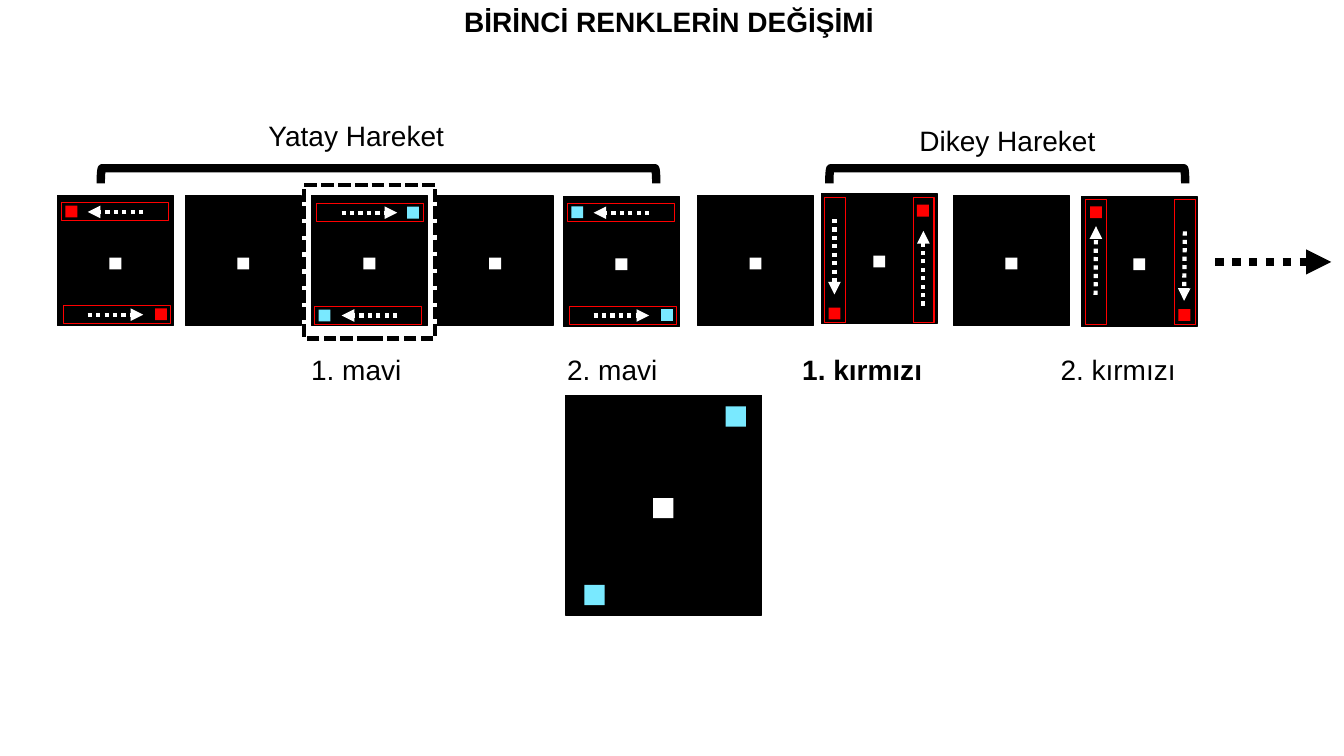
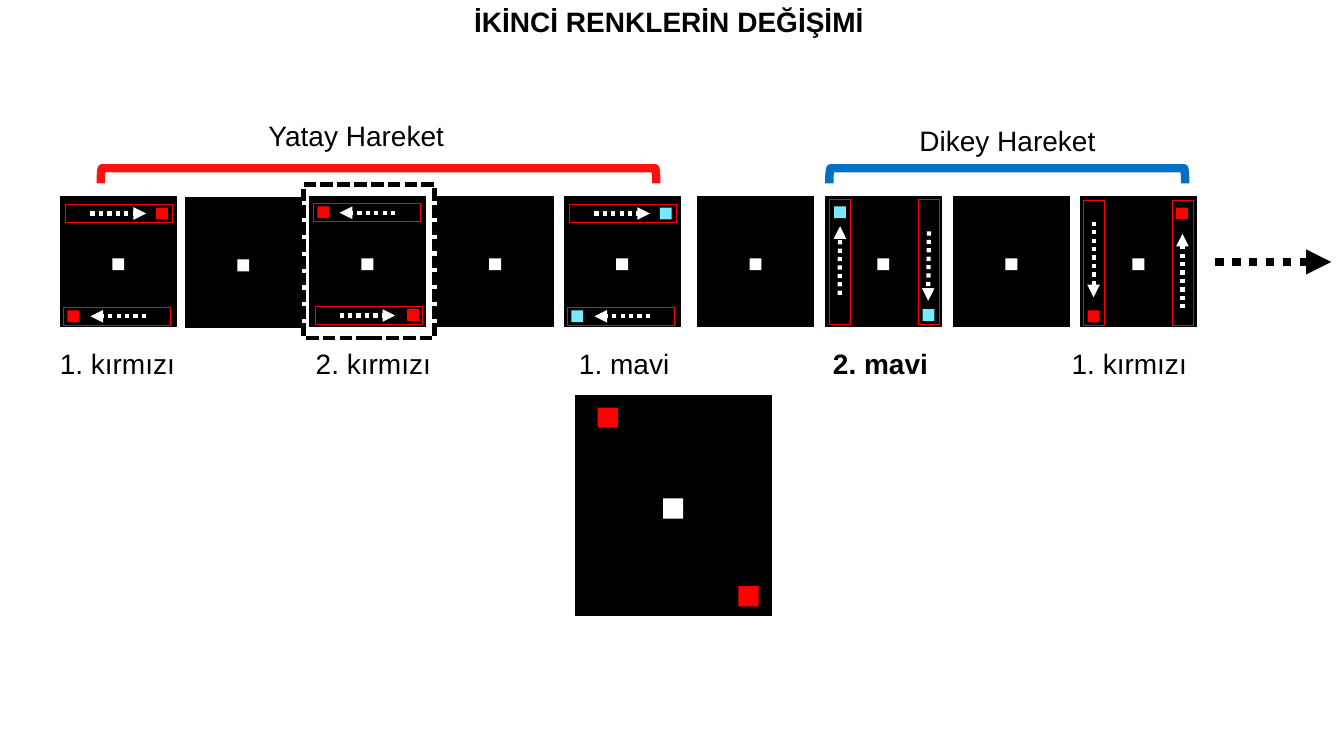
import dataclasses

import pptx
import pptx.dml.color
import pptx.enum.dml
import pptx.enum.shapes
import pptx.enum.text
import pptx.oxml
import pptx.oxml.ns
import pptx.util

Cm = pptx.util.Cm
Pt = pptx.util.Pt
Shapes = pptx.enum.shapes.MSO_SHAPE
Dashes = pptx.enum.dml.MSO_LINE


@dataclasses.dataclass(frozen=True)
class Theme:
    font: str = "Arial"
    text_size: int = 20
    black: str = "000000"
    white: str = "FFFFFF"
    red: str = "FF0000"
    bright_red: str = "FF1111"
    cyan: str = "79E9FF"
    blue: str = "0070C0"
    hairline: float = 0.75
    outline: float = 1
    medium: float = 3
    heavy: float = 6


THEME = Theme()

PANEL = (2.92, 3.28)
CENTER_DOT = (1.31, 1.56)
DOT = 0.3
LARGE_PANEL = (4.95, 5.54)
LARGE_CENTER_DOT = (2.21, 2.59)
LARGE_DOT = 0.51
LABEL = (6.22, 0.89)
TITLE = (11.07, 0, 11.58, 1.09)
FRAME = (3.3, 3.86)
BRACKET_MIDDLE, BRACKET_DEPTH = 4.43, 0.38
TIME_ARROW = (30.63, 6.6, 33.55, 6.6)
HORIZONTAL_BAND = (2.69, 0.46)
VERTICAL_BAND = (0.53, 3.15)

MOTIONS = {
    "left": {
        "band": HORIZONTAL_BAND,
        "bands": [(0.1, 0.18), (0.15, 2.77)],
        "dots": [(0.2, 0.25), (2.46, 2.84)],
        "arrows": [(2.16, 0.41, 0.76, 0.41), (0.76, 3, 2.16, 3)],
    },
    "right": {
        "band": HORIZONTAL_BAND,
        "bands": [(0.13, 0.2), (0.08, 2.79)],
        "dots": [(0.18, 2.87), (2.41, 0.28)],
        "arrows": [(0.76, 0.43, 2.16, 0.43), (2.16, 3.02, 0.76, 3.02)],
    },
    "down": {
        "band": VERTICAL_BAND,
        "bands": [(0.08, 0.1), (2.31, 0.1)],
        "dots": [(0.18, 2.87), (2.41, 0.28)],
        "arrows": [(0.33, 0.64, 0.33, 2.54), (2.57, 2.82, 2.57, 0.94)],
    },
    "up": {
        "band": VERTICAL_BAND,
        "bands": [(0.1, 0.09), (2.34, 0.09)],
        "dots": [(0.22, 0.25), (2.45, 2.84)],
        "arrows": [(0.36, 2.48, 0.37, 0.75), (2.61, 0.88, 2.59, 2.63)],
    },
}

HEADINGS = [("Yatay Hareket", 5.87, 2.97), ("Dikey Hareket", 22.28, 3.1)]
BRACKETS = [(2.54, 14), (20.9, 8.97)]

SLIDES = [
    {
        "title": "BİRİNCİ RENKLERİN DEĞİŞİMİ",
        "bracket_colors": [THEME.black, THEME.black],
        "panels": [
            (1.45, 4.93, "left", THEME.red),
            (4.67, 4.93, None, None),
            (7.85, 4.93, "right", THEME.cyan),
            (11.02, 4.93, None, None),
            (14.2, 4.95, "left", THEME.cyan),
            (17.58, 4.93, None, None),
            (20.7, 4.88, "down", THEME.red),
            (24.03, 4.93, None, None),
            (27.25, 4.95, "up", THEME.red),
        ],
        "frame": (7.67, 4.67),
        "label_top": 8.86,
        "labels": [
            ("1. mavi", 5.87, False),
            ("2. mavi", 12.32, False),
            ("1. kırmızı", 18.62, True),
            ("2. kırmızı", 25.07, False),
        ],
        "large_panel": (14.25, 9.96),
        "large_dots": [(4.04, 0.28), (0.48, 4.78)],
        "large_color": THEME.cyan,
    },
    {
        "title": "İKİNCİ RENKLERİN DEĞİŞİMİ",
        "bracket_colors": [THEME.bright_red, THEME.blue],
        "panels": [
            (1.52, 4.95, "right", THEME.red),
            (4.67, 4.98, None, None),
            (7.8, 4.95, "left", THEME.red),
            (11.02, 4.95, None, None),
            (14.22, 4.95, "right", THEME.cyan),
            (17.58, 4.95, None, None),
            (20.8, 4.95, "up", THEME.cyan),
            (24.03, 4.95, None, None),
            (27.23, 4.95, "down", THEME.red),
        ],
        "frame": (7.65, 4.65),
        "label_top": 8.71,
        "labels": [
            ("1. kırmızı", -0.15, False),
            ("2. kırmızı", 6.3, False),
            ("1. mavi", 12.62, False),
            ("2. mavi", 19.08, True),
            ("1. kırmızı", 25.35, False),
        ],
        "large_panel": (14.5, 9.97),
        "large_dots": [(0.56, 0.3), (4.11, 4.8)],
        "large_color": THEME.red,
    },
]


def rgb(color):
    return pptx.dml.color.RGBColor.from_string(color)


def write_text(shape, text, *, size=THEME.text_size, color=THEME.black, bold=False):
    frame = shape.text_frame
    frame.auto_size = pptx.enum.text.MSO_AUTO_SIZE.NONE
    frame.word_wrap = True
    frame.vertical_anchor = pptx.enum.text.MSO_ANCHOR.MIDDLE
    frame.margin_left = frame.margin_right = 0
    frame.margin_top = frame.margin_bottom = 0
    paragraph = frame.paragraphs[0]
    paragraph.alignment = pptx.enum.text.PP_ALIGN.CENTER
    run = paragraph.add_run()
    run.text = text
    run.font.name = THEME.font
    run.font.size = Pt(size)
    run.font.bold = bold
    run.font.color.rgb = rgb(color)


def add_label(slide, text, left, top, bold=False):
    box = slide.shapes.add_textbox(*map(Cm, (left, top, *LABEL)))
    write_text(box, text, bold=bold)


def style_line(line, color, width, dash=None):
    line.color.rgb = rgb(color)
    line.width = Pt(width)
    if dash is not None:
        line.dash_style = dash


def add_box(shapes, position, size, *, kind=Shapes.RECTANGLE, fill=None,
            line=None, width=THEME.outline, dash=None):
    shape = shapes.add_shape(kind, *map(Cm, (*position, *size)))
    shape.shadow.inherit = False
    if fill:
        shape.fill.solid()
        shape.fill.fore_color.rgb = rgb(fill)
    else:
        shape.fill.background()
    if line:
        style_line(shape.line, line, width, dash)
    else:
        shape.line.fill.background()
    return shape


def add_arrow(shapes, points, color, width):
    straight = pptx.enum.shapes.MSO_CONNECTOR.STRAIGHT
    connector = shapes.add_connector(straight, *map(Cm, points))
    style_line(connector.line, color, width, Dashes.ROUND_DOT)
    properties = connector.element.spPr
    outline = properties.find(pptx.oxml.ns.qn("a:ln"))
    namespace = pptx.oxml.ns.nsdecls("a")
    outline.append(pptx.oxml.parse_xml(f'<a:tailEnd {namespace} type="triangle"/>'))
    properties.append(pptx.oxml.parse_xml(f"<a:effectLst {namespace}/>"))


def add_panel(slide, left, top, size, center, dot, dots=(), color=None):
    shapes = slide.shapes.add_group_shape().shapes
    add_box(shapes, (left, top), size, fill=THEME.black, line=THEME.black)
    squares = [(center, THEME.white)] + [(position, color) for position in dots]
    for (x, y), fill in squares:
        add_box(shapes, (left + x, top + y), (dot, dot), fill=fill)
    return shapes


def add_motion_panel(slide, left, top, direction, color):
    motion = MOTIONS.get(direction, {})
    shapes = add_panel(slide, left, top, PANEL, CENTER_DOT, DOT,
                       motion.get("dots", ()), color)
    for x, y in motion.get("bands", ()):
        add_box(shapes, (left + x, top + y), motion["band"],
                line=THEME.red, width=THEME.hairline)
    for x1, y1, x2, y2 in motion.get("arrows", ()):
        points = (left + x1, top + y1, left + x2, top + y2)
        add_arrow(shapes, points, THEME.white, THEME.medium)


def add_bracket(slide, left, span, color):
    position = (left + (span - BRACKET_DEPTH) / 2, BRACKET_MIDDLE - span / 2)
    bracket = add_box(slide.shapes, position, (BRACKET_DEPTH, span),
                      kind=Shapes.RIGHT_BRACKET, line=color, width=THEME.heavy)
    bracket.rotation = 270


def build_slide(presentation, content):
    slide = presentation.slides.add_slide(presentation.slide_layouts[5])
    title = slide.shapes.title
    title.left, title.top, title.width, title.height = map(Cm, TITLE)
    write_text(title, content["title"], bold=True)
    for heading in HEADINGS:
        add_label(slide, *heading)
    for (left, span), color in zip(BRACKETS, content["bracket_colors"]):
        add_bracket(slide, left, span, color)
    for panel in content["panels"]:
        add_motion_panel(slide, *panel)
    add_box(slide.shapes, content["frame"], FRAME, line=THEME.black,
            width=THEME.medium, dash=Dashes.SQUARE_DOT)
    add_arrow(slide.shapes, TIME_ARROW, THEME.black, THEME.heavy)
    add_panel(slide, *content["large_panel"], LARGE_PANEL, LARGE_CENTER_DOT,
              LARGE_DOT, content["large_dots"], content["large_color"])
    for text, left, bold in content["labels"]:
        add_label(slide, text, left, content["label_top"], bold)


def main():
    presentation = pptx.Presentation()
    presentation.slide_width = Cm(33.87)
    presentation.slide_height = Cm(19.05)
    for content in SLIDES:
        build_slide(presentation, content)
    presentation.save("out.pptx")


if __name__ == "__main__":
    main()
